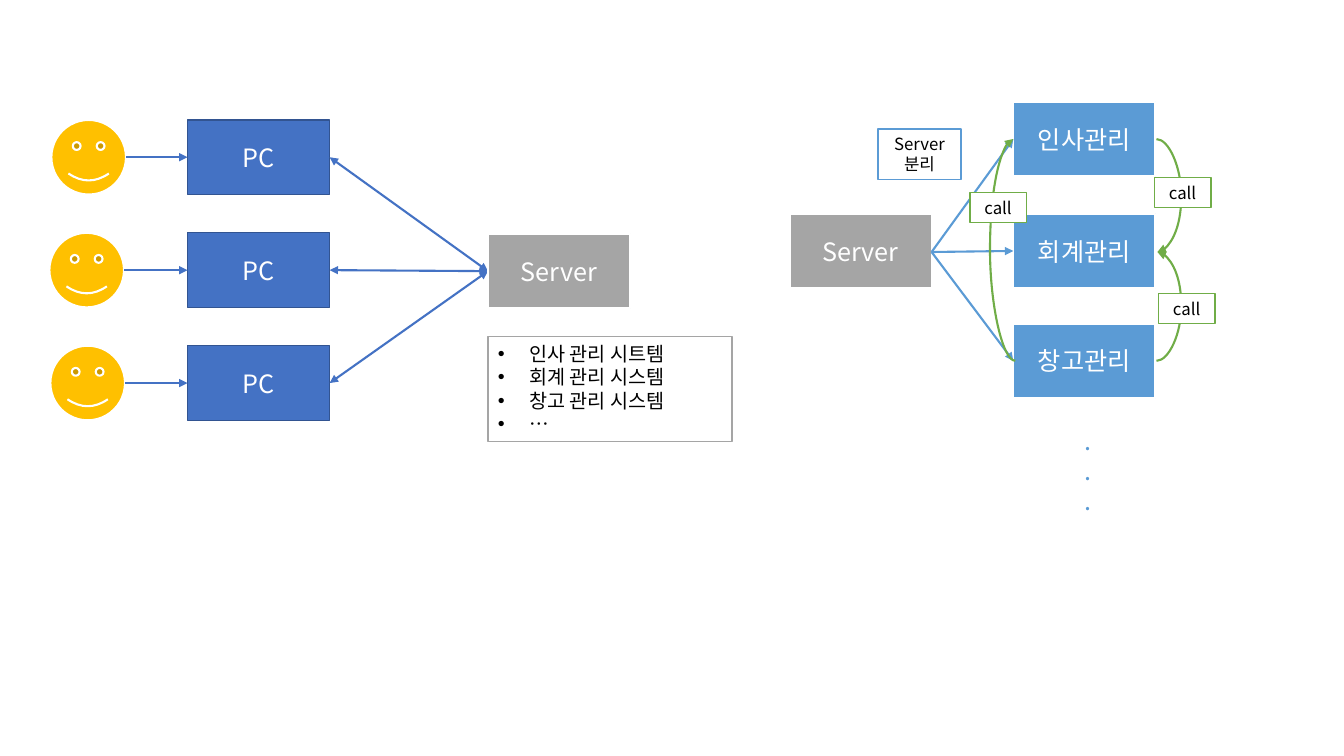
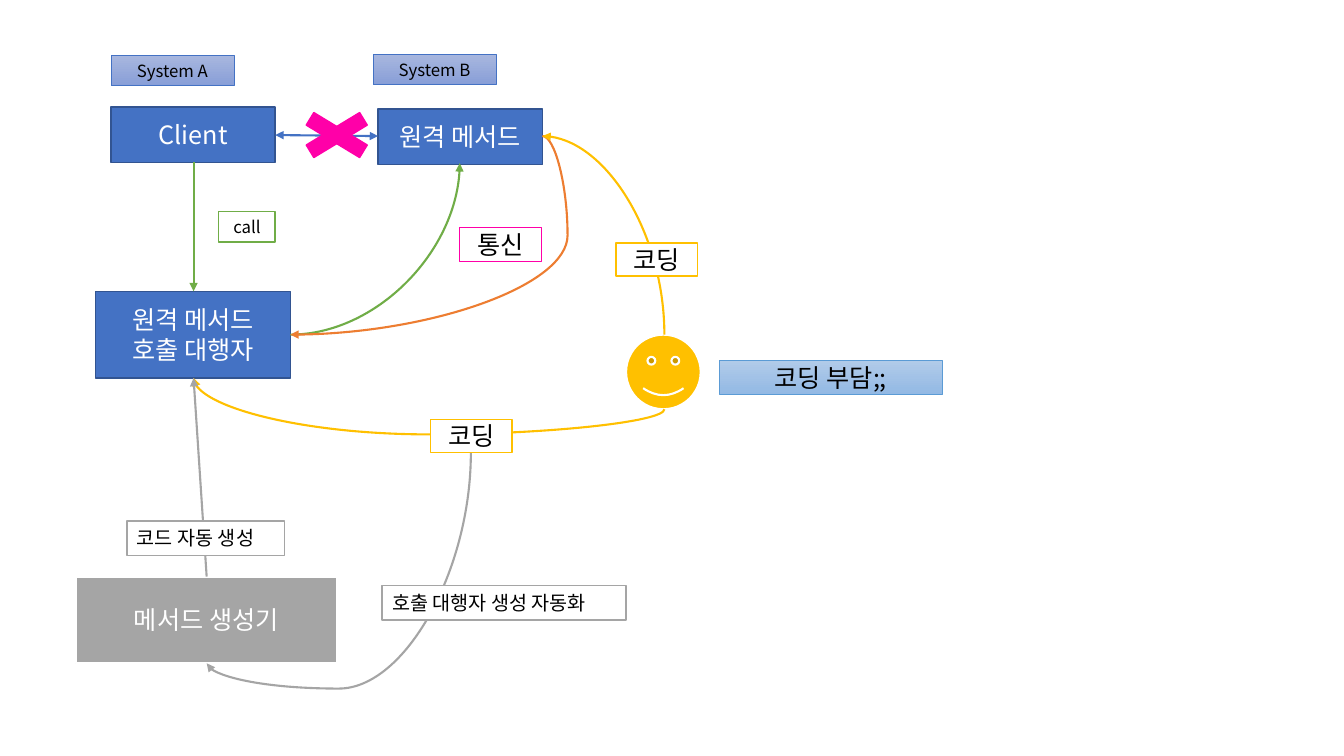
from lxml import etree
from pptx import Presentation
from pptx import util as u
from pptx.dml.color import RGBColor
from pptx.enum import shapes, text
from pptx.oxml.ns import qn

FONT = "Noto Sans CJK KR"
WHITE, BLACK = "FFFFFF", "000000"
BLUE, NAVY, SKY = "4472C4", "325491", "5B9BD5"
GREEN, ORANGE, GOLD, GRAY, PINK = "70AD47", "ED7D31", "FFC000", "A5A5A5", "FF00A8"
RECTANGLE = shapes.MSO_SHAPE.RECTANGLE
SMILEY = shapes.MSO_SHAPE.SMILEY_FACE
CROSS = shapes.MSO_SHAPE.MATH_MULTIPLY
CENTER, LEFT = text.PP_ALIGN.CENTER, text.PP_ALIGN.LEFT

# Each style: fill colours (two make a gradient), line colour and width
BLUE_BOX = {"fills": [BLUE], "line": NAVY, "width": 1, "color": WHITE}
GRAY_BOX = {"fills": [GRAY], "line": WHITE, "width": 1.5, "color": WHITE}
SKY_BOX = {**GRAY_BOX, "fills": [SKY]}
FACE = {**GRAY_BOX, "fills": [GOLD], "preset": SMILEY}
LABEL = {"fills": [WHITE], "width": 1, "size": 12, "grow": True}
CALL = {**LABEL, "line": GREEN}
NOTE = {**LABEL, "line": GRAY, "size": 14, "align": LEFT}
TAG = {"fills": [WHITE], "line": GOLD, "width": 1}
SYSTEM = {**LABEL, "fills": ["A8B7DF", "889ED7"], "line": BLUE, "width": 0.5}
BURDEN = {"fills": ["B1CBE9", "93B9E4"], "line": SKY, "width": 0.5}


def add_box(slide, place, lines, fills=(), line=None, width=1, color=BLACK, size=18,
            align=CENTER, grow=False, preset=RECTANGLE):
    """Add a shape, or a plain text box when there are no fills, with its lines of text."""
    place = [u.Inches(length) for length in place]
    if fills:
        shape = slide.shapes.add_shape(preset, *place)
        shape.shadow.inherit = False
        if len(fills) == 1:
            shape.fill.solid()
            shape.fill.fore_color.rgb = RGBColor.from_string(fills[0])
        else:
            shape.fill.gradient()
            shape.fill.gradient_angle = 270
            for stop, shade in zip(shape.fill.gradient_stops, fills):
                stop.color.rgb = RGBColor.from_string(shade)
        shape.line.color.rgb = RGBColor.from_string(line)
        shape.line.width = u.Pt(width)
    else:
        shape = slide.shapes.add_textbox(*place)
    frame = shape.text_frame
    settings = {
        "word_wrap": True,
        "vertical_anchor": text.MSO_ANCHOR.TOP if grow else text.MSO_ANCHOR.MIDDLE,
        "auto_size": text.MSO_AUTO_SIZE.SHAPE_TO_FIT_TEXT if grow else text.MSO_AUTO_SIZE.NONE,
    }
    for name, value in settings.items():
        setattr(frame, name, value)
    for index, words in enumerate(lines):
        paragraph = frame.add_paragraph() if index else frame.paragraphs[0]
        paragraph.alignment = align
        run = paragraph.add_run()
        run.text = words
        for name, value in {"name": FONT, "size": u.Pt(size)}.items():
            setattr(run.font, name, value)
        run.font.color.rgb = RGBColor.from_string(color)
        etree.SubElement(run._r.get_or_add_rPr(), qn("a:ea"), typeface=FONT)
    return shape


def add_arrow(slide, start, end, color, double=False, curve=None, turn=None, upright=False):
    """Add an arrow; a curve leaves sideways or upright and may bend at the turn coordinate."""
    (x1, y1), (x2, y2) = start, end
    dx, dy = x2 - x1, y2 - y1
    ends = [x1, y1, x2, y2]
    if upright:  # the same path laid on its side, then rotated a quarter turn
        middle_x, middle_y = (x1 + x2) / 2, (y1 + y2) / 2
        ends = [middle_x - dy / 2, middle_y + dx / 2, middle_x + dy / 2, middle_y - dx / 2]
    kind = shapes.MSO_CONNECTOR.CURVE if curve else shapes.MSO_CONNECTOR.STRAIGHT
    connector = slide.shapes.add_connector(kind, *[u.Inches(length) for length in ends])
    connector.line.color.rgb = RGBColor.from_string(color)
    connector.line.width = u.Pt(1.5)
    properties = connector._element.spPr
    if upright:
        properties.find(qn("a:xfrm")).set("rot", "5400000")
    if curve:
        geometry = properties.find(qn("a:prstGeom"))
        geometry.set("prst", curve)
        if turn is not None:
            share = (turn - y1) / dy if upright else (turn - x1) / dx
            etree.SubElement(geometry.find(qn("a:avLst")), qn("a:gd"), name="adj1",
                             fmla=f"val {round(share * 100000)}")
    outline = properties.find(qn("a:ln"))
    for tip in ["a:headEnd", "a:tailEnd"] if double else ["a:tailEnd"]:
        etree.SubElement(outline, qn(tip), type="triangle")
    etree.SubElement(properties, qn("a:effectLst"))


presentation = Presentation()
presentation.slide_width, presentation.slide_height = u.Inches(13.33), u.Inches(7.5)
blank = presentation.slide_layouts[6]
QUARTER, BEND = "curvedConnector2", "curvedConnector3"

# Slide 1: users and PCs around one server, then the server split up
slide = presentation.slides.add_slide(blank)
BOX, FACE_SIZE = (1.41, 0.74), 0.74
PC_LEFT, SERVER_LEFT, PC_TOP, PC_STEP = 1.86, 4.84, 1.19, 1.12
for row, face_left in enumerate([0.51, 0.49, 0.5]):
    top = PC_TOP + row * PC_STEP
    middle = top + BOX[1] / 2
    add_box(slide, (PC_LEFT, top, *BOX), ["PC"], **BLUE_BOX)
    add_box(slide, (face_left, top, FACE_SIZE, FACE_SIZE), [], **FACE)
    add_arrow(slide, (face_left + FACE_SIZE, middle), (PC_LEFT, middle), BLUE)
    add_arrow(slide, (PC_LEFT + BOX[0], middle), (SERVER_LEFT, 2.69), BLUE, double=True)
add_box(slide, (SERVER_LEFT, 2.32, *BOX), ["Server"], **GRAY_BOX)

systems = add_box(slide, (SERVER_LEFT, 3.34, 2.42, 1.04),
                  ["인사 관리 시트템", "회계 관리 시스템", "창고 관리 시스템", "…"], **NOTE)
for paragraph in systems.text_frame.paragraphs:
    bullet = paragraph._p.get_or_add_pPr()
    bullet.set("marL", str(u.Inches(0.31)))
    bullet.set("indent", str(-u.Inches(0.31)))
    etree.SubElement(bullet, qn("a:buFont"), typeface="Arial")
    etree.SubElement(bullet, qn("a:buChar"), char="•")

SPLIT_LEFT = 10.05
SPLIT_RIGHT = SPLIT_LEFT + BOX[0]
add_box(slide, (7.83, 2.12, *BOX), ["Server"], **GRAY_BOX)
for name, top in [("인사관리", 1.01), ("회계관리", 2.12), ("창고관리", 3.21)]:
    add_box(slide, (SPLIT_LEFT, top, *BOX), [name], **SKY_BOX)
    add_arrow(slide, (9.24, 2.5), (SPLIT_LEFT, top + BOX[1] / 2), SKY)
add_box(slide, (8.71, 1.28, 0.82, 0.5), ["Server 분리"], line=SKY, **LABEL)
add_arrow(slide, (10.07, 3.58), (SPLIT_LEFT, 1.38), GREEN, curve=BEND, turn=9.82)
for start_y in [1.38, 3.58]:
    add_arrow(slide, (SPLIT_RIGHT + 0.01, start_y), (SPLIT_RIGHT + 0.02, 2.5), GREEN,
              curve=BEND, turn=11.72)
for left, top in [(9.62, 1.91), (11.49, 2.91), (11.45, 1.76)]:
    add_box(slide, (left, top, 0.56, 0.3), ["call"], **CALL)
add_box(slide, (10.66, 4.17, 0.4, 1.01), ["."] * 3, color=SKY, align=LEFT, grow=True)

# Slide 2: a client calls a remote method through a proxy
slide = presentation.slides.add_slide(blank)
CLIENT_BOTTOM, REMOTE_SIDE = (1.92, 1.61), (5.38, 1.35)
PROXY_SIDE, PROXY_BOTTOM = (2.88, 3.32), (1.92, 3.75)
for place, lines, style in [
    ((1.1, 1.06, 1.63, 0.55), ["Client"], BLUE_BOX),
    ((3.75, 1.08, 1.63, 0.55), ["원격 메서드"], BLUE_BOX),
    ((0.95, 2.89, 1.93, 0.86), ["원격 메서드", "호출 대행자"], BLUE_BOX),
    ((0.75, 5.72, 2.59, 0.86), ["메서드 생성기"], GRAY_BOX),
    ((6.21, 3.32, FACE_SIZE, FACE_SIZE), [], FACE),
]:
    add_box(slide, place, lines, **style)

add_arrow(slide, PROXY_SIDE, (4.56, 1.62), GREEN, curve=QUARTER)
add_arrow(slide, REMOTE_SIDE, PROXY_SIDE, ORANGE, curve=BEND, turn=5.63)
add_arrow(slide, CLIENT_BOTTOM, (1.92, 2.89), GREEN)
add_arrow(slide, (2.73, 1.34), (3.75, 1.35), BLUE, double=True)
add_arrow(slide, (6.59, 4.06), PROXY_BOTTOM, GOLD, curve=BEND, turn=4.31, upright=True)
add_arrow(slide, (6.59, 3.32), REMOTE_SIDE, GOLD, curve=QUARTER, upright=True)
add_arrow(slide, (2.05, 5.72), PROXY_BOTTOM, GRAY)
add_arrow(slide, (4.67, 4.49), (2.05, 6.58), GRAY, curve=BEND, turn=6.83, upright=True)

for place, lines, style in [
    ((2.83, 1.03, 1.02, 0.62), [], {**TAG, "fills": [PINK], "line": PINK, "preset": CROSS}),
    ((1.1, 0.55, 1.22, 0.3), ["System A"], SYSTEM),
    ((3.7, 0.54, 1.22, 0.3), ["System B"], SYSTEM),
    ((2.17, 2.1, 0.56, 0.3), ["call"], CALL),
    ((4.56, 2.26, 0.81, 0.33), ["통신"], {**TAG, "line": PINK, "width": 0.5}),
    ((4.27, 4.16, 0.81, 0.33), ["코딩"], TAG),
    ((6.11, 2.41, 0.81, 0.33), ["코딩"], TAG),
    ((3.79, 5.81, 2.42, 0.34), ["호출 대행자 생성 자동화"], NOTE),
    ((1.26, 5.17, 1.56, 0.34), ["코드 자동 생성"], NOTE),
    ((7.13, 3.58, 2.22, 0.33), ["코딩 부담;;"], BURDEN),
]:
    add_box(slide, place, lines, **style)

presentation.save("out.pptx")
